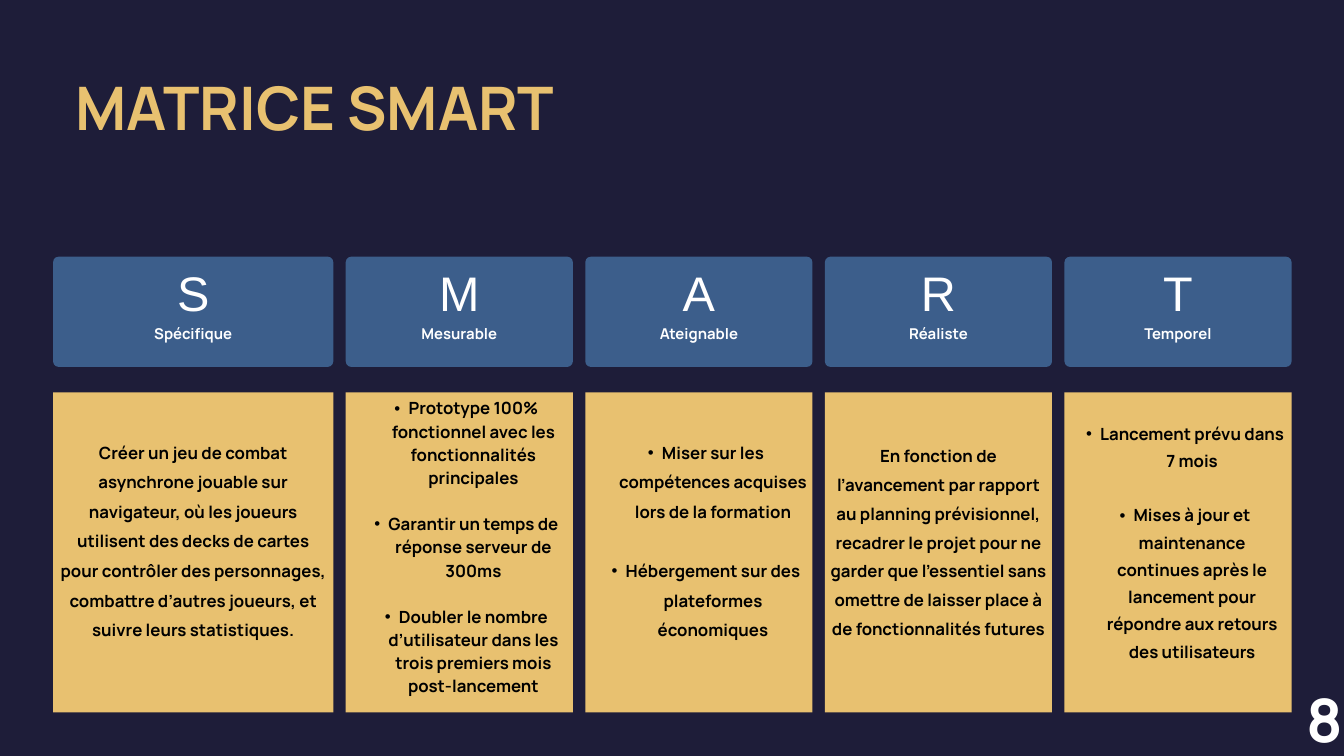
from lxml import etree
from pptx import Presentation
from pptx.dml.color import RGBColor
from pptx.enum import shapes, text
from pptx.oxml.ns import qn
from pptx.util import Inches, Pt

NAVY, GOLD, BLUE, WHITE, BLACK = "1E1D39", "E8C170", "3C5E8B", "FFFFFF", "000000"
LEFT, GAP = 0.79, 0.185
HEAD_TOP, HEAD_BOTTOM = 3.82, 5.46
PANEL_TOP, PANEL_BOTTOM = 5.84, 10.6
HEAD_TEXT_TOP = 3.42

# letter, word, column width, top of the text, line spacing, items
COLUMNS = [
    ("S", "Spécifique", 4.17, 5.37, 31.7, [
        "Créer un jeu de combat asynchrone jouable sur navigateur, où les joueurs "
        "utilisent des decks de cartes pour contrôler des personnages, combattre "
        "d’autres joueurs, et suivre leurs statistiques."]),
    ("M", "Mesurable", 3.38, 5.64, 24.8, [
        "Prototype 100% fonctionnel avec les fonctionnalités principales",
        "Garantir un temps de réponse serveur de 300ms",
        "Doubler le nombre d’utilisateur dans les trois premiers mois post-lancement"]),
    ("A", "Ateignable", 3.38, 5.37, 31.7, [
        "Miser sur les compétences acquises lors de la formation",
        "Hébergement sur des plateformes économiques"]),
    ("R", "Réaliste", 3.38, 5.41, 31, [
        "En fonction de l’avancement par rapport au planning prévisionnel, recadrer "
        "le projet pour ne garder que l’essentiel sans omettre de laisser place à de "
        "fonctionnalités futures"]),
    ("T", "Temporel", 3.38, 5.44, 29.2, [
        "Lancement prévu dans 7 mois",
        "Mises à jour et maintenance continues après le lancement pour répondre aux "
        "retours des utilisateurs"]),
]


def rgb(color):
    return RGBColor.from_string(color)


def add_panel(s, kind, x, top, w, bottom, color):
    sp = s.shapes.add_shape(kind, Inches(x), Inches(top), Inches(w), Inches(bottom - top))
    sp.shadow.inherit = False
    sp.fill.solid()
    sp.fill.fore_color.rgb = rgb(color)
    sp.line.fill.background()
    return sp


def add_text_box(s):
    return s.shapes.add_textbox(0, 0, 0, 0)


def place_text(sp, x, top, w, h, inset=0.06, anchor=text.MSO_ANCHOR.MIDDLE):
    sp.left, sp.top, sp.width, sp.height = (Inches(v) for v in (x, top, w, h))
    tf = sp.text_frame
    tf.word_wrap = True
    tf.auto_size = text.MSO_AUTO_SIZE.NONE
    tf.vertical_anchor = anchor
    tf.margin_left = tf.margin_right = tf.margin_top = tf.margin_bottom = Inches(inset)
    return tf


def format_paragraph(p, size, color, spacing, font="Manrope", bold=True,
                     align=text.PP_ALIGN.CENTER, before=0):
    p.alignment = align
    p.line_spacing = Pt(spacing)
    p.space_before = Pt(before)
    for r in p.runs:
        r.font.name = font
        r.font.size = Pt(size)
        r.font.bold = bold
        r.font.color.rgb = rgb(color)


def add_bullet(p):
    p.level = 1
    pPr = p._p.get_or_add_pPr()
    pPr.set("marL", str(Inches(0.42)))
    pPr.set("indent", str(Inches(-0.21)))
    etree.SubElement(pPr, qn("a:buFont"), typeface="Arial")
    etree.SubElement(pPr, qn("a:buChar"), char="•")


def add_header(s, x, w, letter, word):
    sp = add_panel(s, shapes.MSO_SHAPE.ROUNDED_RECTANGLE, x, HEAD_TOP, w, HEAD_BOTTOM, BLUE)
    sp.adjustments[0] = 0.05
    tf = place_text(add_text_box(s), x, HEAD_TEXT_TOP, w, HEAD_BOTTOM - HEAD_TEXT_TOP)
    tf.text = f"{letter}\n{word}"
    format_paragraph(tf.paragraphs[0], 52, WHITE, 71.8, font="Arial", bold=False)
    format_paragraph(tf.paragraphs[1], 16, WHITE, 22.1)


def add_body(s, bodies, x, w, top, spacing, items):
    """Lists take the next body placeholder, raised above its panel."""
    add_panel(s, shapes.MSO_SHAPE.RECTANGLE, x, PANEL_TOP, w, PANEL_BOTTOM, GOLD)
    is_list = len(items) > 1
    if is_list:
        sp = bodies.pop(0)
        sp.element.getparent().append(sp.element)
    else:
        sp = add_text_box(s)
    tf = place_text(sp, x, top, w, PANEL_BOTTOM - top)
    tf.text = "\n".join(items)
    for i, p in enumerate(tf.paragraphs):
        format_paragraph(p, 18, BLACK, spacing, before=spacing if i else 0)
        if is_list:
            add_bullet(p)


def add_title(s):
    tf = place_text(s.shapes.title, 1.12, 1.05, 7.66, 1.14, 0, text.MSO_ANCHOR.TOP)
    tf.text = "MATRICE SMART"
    format_paragraph(tf.paragraphs[0], 64.3, GOLD, 77.1, align=text.PP_ALIGN.LEFT)


def add_page_number(s):
    tf = place_text(add_text_box(s), 19.42, 10, 0.58, 1.25, 0, text.MSO_ANCHOR.TOP)
    tf.text = "8"
    format_paragraph(tf.paragraphs[0], 64, WHITE, 88.3)


def main():
    prs = Presentation()
    prs.slide_width, prs.slide_height = Inches(20), Inches(11.25)
    s = prs.slides.add_slide(prs.slide_layouts.get_by_name("Comparison"))
    s.background.fill.solid()
    s.background.fill.fore_color.rgb = rgb(NAVY)
    bodies = [ph for ph in s.placeholders if ph.placeholder_format.idx > 0]

    add_title(s)
    x = LEFT
    for letter, word, w, top, spacing, items in COLUMNS:
        add_header(s, x, w, letter, word)
        add_body(s, bodies, x, w, top, spacing, items)
        x += w + GAP
    add_page_number(s)

    for sp in bodies:
        sp.element.getparent().remove(sp.element)
    prs.save("out.pptx")


if __name__ == "__main__":
    main()
